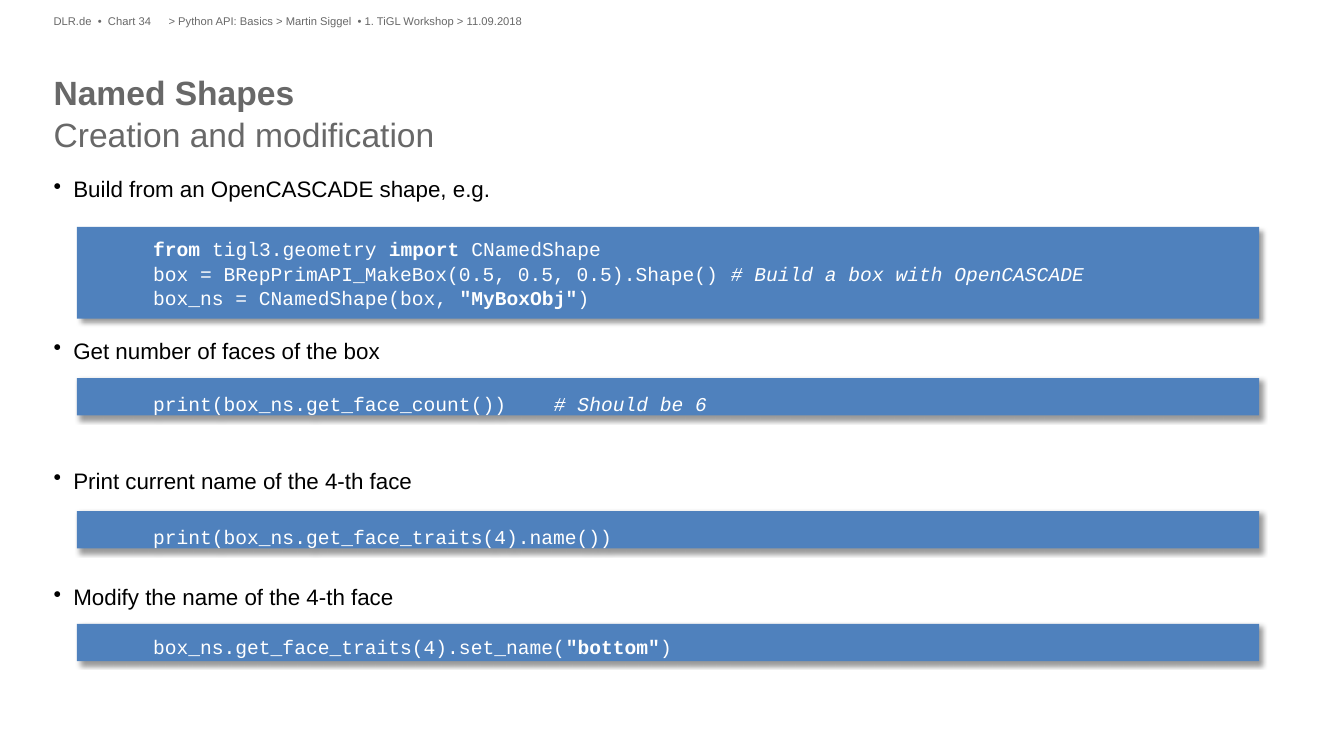
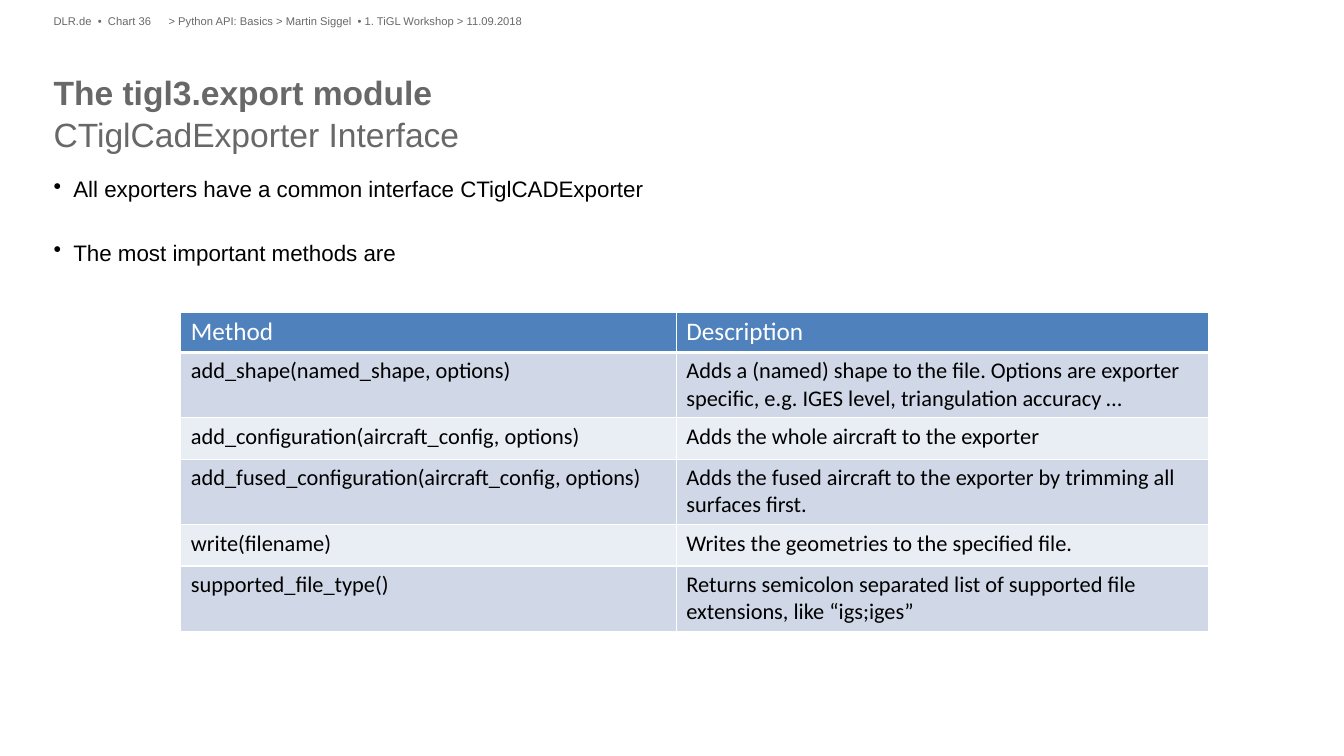
from lxml import etree
from pptx import Presentation
from pptx.dml.color import RGBColor
from pptx.enum import shapes, text
from pptx.oxml import parse_xml
from pptx.oxml.ns import nsdecls, qn
from pptx.util import Cm, Pt

COLOURS = {
    "grey": "686868",
    "black": "000000",
    "white": "FFFFFF",
    "blue": "4F81BD",
    "band_dark": "D0D8E8",
    "band_light": "E9EDF4",
}
LEFT = 1.35  # left edge of header, title and bullets, in cm


def style(font, name, size, colour, bold=False, italic=False):
    font.name, font.size = name, Pt(size)
    font.bold, font.italic = bold, italic
    font.color.rgb = RGBColor.from_string(COLOURS[colour])


def add_lines(slide, left, top, width, height, lines, size, colour):
    """Add a text box without insets, one paragraph per line."""
    box = slide.shapes.add_textbox(Cm(left), Cm(top), Cm(width), Cm(height))
    frame = box.text_frame
    frame.word_wrap = True
    frame.margin_left = frame.margin_right = frame.margin_top = frame.margin_bottom = 0
    frame.text = "\n".join(lines)
    for paragraph in frame.paragraphs:
        style(paragraph.runs[0].font, "Arial", size, colour)
    return frame


prs = Presentation()
prs.slide_width, prs.slide_height = Cm(33.88), Cm(19.05)

# Chart number, title, subtitle, bullets with the space before each in points
pages = [
    (34, "Named Shapes", "Creation and modification", [
        ("Build from an OpenCASCADE shape, e.g.", 0),
        ("Get number of faces of the box", 96),
        ("Print current name of the 4-th face", 74),
        ("Modify the name of the 4-th face", 64),
    ]),
    (36, "The tigl3.export module", "CTiglCadExporter Interface", [
        ("All exporters have a common interface CTiglCADExporter", 0),
        ("The most important methods are", 26),
    ]),
]

# Header, title and bullets of every slide
for number, heading, subheading, bullets in pages:
    slide = prs.slides.add_slide(prs.slide_layouts[5])
    add_lines(slide, LEFT, 0.36, 2.9, 0.41, [f"DLR.de  •  Chart {number}"], 8, "grey")
    add_lines(slide, 4.25, 0.36, 28.26, 0.41,
              ["> Python API: Basics > Martin Siggel  • 1. TiGL Workshop > 11.09.2018"],
              8, "grey")

    title = slide.shapes.title
    title.left, title.top, title.width, title.height = Cm(LEFT), Cm(1.8), Cm(31.16), Cm(2.06)
    frame = title.text_frame
    frame.margin_left = frame.margin_right = frame.margin_top = frame.margin_bottom = 0
    frame.auto_size = text.MSO_AUTO_SIZE.NONE
    frame.vertical_anchor = text.MSO_ANCHOR.MIDDLE
    frame.text = f"{heading}\n{subheading}"
    for paragraph, bold in zip(frame.paragraphs, (True, False)):
        paragraph.alignment = text.PP_ALIGN.LEFT
        paragraph.space_before = Pt(0)
        paragraph.line_spacing = 1.04
        style(paragraph.runs[0].font, "Arial", 24, "grey", bold)

    body = add_lines(slide, LEFT, 4.42, 31.16, 12.04,
                     [bullet for bullet, _ in bullets], 16, "black")
    for paragraph, (_, gap) in zip(body.paragraphs, bullets):
        properties = paragraph._p.get_or_add_pPr()
        properties.set("marL", str(Cm(0.5)))
        properties.set("indent", str(-Cm(0.5)))
        etree.SubElement(properties, qn("a:buChar")).set("char", "•")
        paragraph.space_before = Pt(gap)

named_shapes, export_module = prs.slides

# Code blocks: top, height, top inset in cm, lines of (text, bold or italic)
code_blocks = [
    (5.72, 2.31, 0, [
        [("from ", "b"), ("tigl3.geometry ", ""), ("import ", "b"), ("CNamedShape", "")],
        [("box = BRepPrimAPI_MakeBox(0.5, 0.5, 0.5).Shape() ", ""),
         ("# Build a box with OpenCASCADE", "i")],
        [("box_ns = CNamedShape(box, ", ""), ('"MyBoxObj"', "b"), (")", "")],
    ]),
    (9.53, 0.94, 0.33, [
        [("print(box_ns.get_face_count())    ", ""), ("# Should be 6", "i")],
    ]),
    (12.88, 0.94, 0.33, [[("print(box_ns.get_face_traits(4).name())", "")]]),
    (15.72, 0.94, 0.18, [
        [("box_ns.get_face_traits(4).set_name(", ""), ('"bottom"', "b"), (")", "")],
    ]),
]
for top, height, inset, lines in code_blocks:
    block = named_shapes.shapes.add_shape(
        shapes.MSO_SHAPE.RECTANGLE, Cm(1.94), Cm(top), Cm(29.8), Cm(height))
    block.fill.solid()
    block.fill.fore_color.rgb = RGBColor.from_string(COLOURS["blue"])
    block.line.fill.background()
    block.shadow.inherit = False
    block._element.spPr.find(qn("a:effectLst")).append(parse_xml(
        f'<a:outerShdw {nsdecls("a")} blurRad="{Pt(4)}" dist="{Pt(3)}" dir="2700000"'
        f' algn="tl" rotWithShape="0"><a:srgbClr val="{COLOURS["black"]}">'
        '<a:alpha val="40000"/></a:srgbClr></a:outerShdw>'))
    frame = block.text_frame
    frame.word_wrap = True
    frame.margin_left, frame.margin_top = Cm(1.92), Cm(inset)
    frame.margin_right = frame.margin_bottom = 0
    frame.vertical_anchor = text.MSO_ANCHOR.MIDDLE
    frame.text = "\n" * (len(lines) - 1)
    for paragraph, pieces in zip(frame.paragraphs, lines):
        paragraph.alignment = text.PP_ALIGN.LEFT
        paragraph.line_spacing = 1.05
        for piece, emphasis in pieces:
            run = paragraph.add_run()
            run.text = piece
            style(run.font, "Courier New", 14, "white", emphasis == "b", emphasis == "i")

# Table of exporter methods
methods = [
    ("Method", "Description"),
    ("add_shape(named_shape, options)",
     "Adds a (named) shape to the file. Options are exporter specific, "
     "e.g. IGES level, triangulation accuracy …"),
    ("add_configuration(aircraft_config, options)",
     "Adds the whole aircraft to the exporter"),
    ("add_fused_configuration(aircraft_config, options)",
     "Adds the fused aircraft to the exporter by trimming all surfaces first."),
    ("write(filename)", "Writes the geometries to the specified file."),
    ("supported_file_type()",
     "Returns semicolon separated list of supported file extensions, like “igs;iges”"),
]
row_heights = [1.02, 1.65, 1.04, 1.65, 1.04, 1.65]
table = export_module.shapes.add_table(
    len(methods), 2, Cm(4.56), Cm(7.86), Cm(25.9), Cm(sum(row_heights))).table
table.columns[0].width, table.columns[1].width = Cm(12.49), Cm(13.41)
for row_index, (row, height) in enumerate(zip(table.rows, row_heights)):
    row.height = Cm(height)
    is_header = row_index == 0
    band = "blue" if is_header else "band_dark" if row_index % 2 else "band_light"
    for cell, content in zip(row.cells, methods[row_index]):
        cell.text = content
        style(cell.text_frame.paragraphs[0].runs[0].font, "Calibri",
              18 if is_header else 16, "white" if is_header else "black")
        cell.fill.solid()
        cell.fill.fore_color.rgb = RGBColor.from_string(COLOURS[band])
        for position, side in enumerate("LRTB"):
            weight = 3 if is_header and side == "B" else 1
            cell._tc.get_or_add_tcPr().insert(position, parse_xml(
                f'<a:ln{side} {nsdecls("a")} w="{Pt(weight)}"><a:solidFill>'
                f'<a:srgbClr val="{COLOURS["white"]}"/></a:solidFill></a:ln{side}>'))

prs.save("out.pptx")
